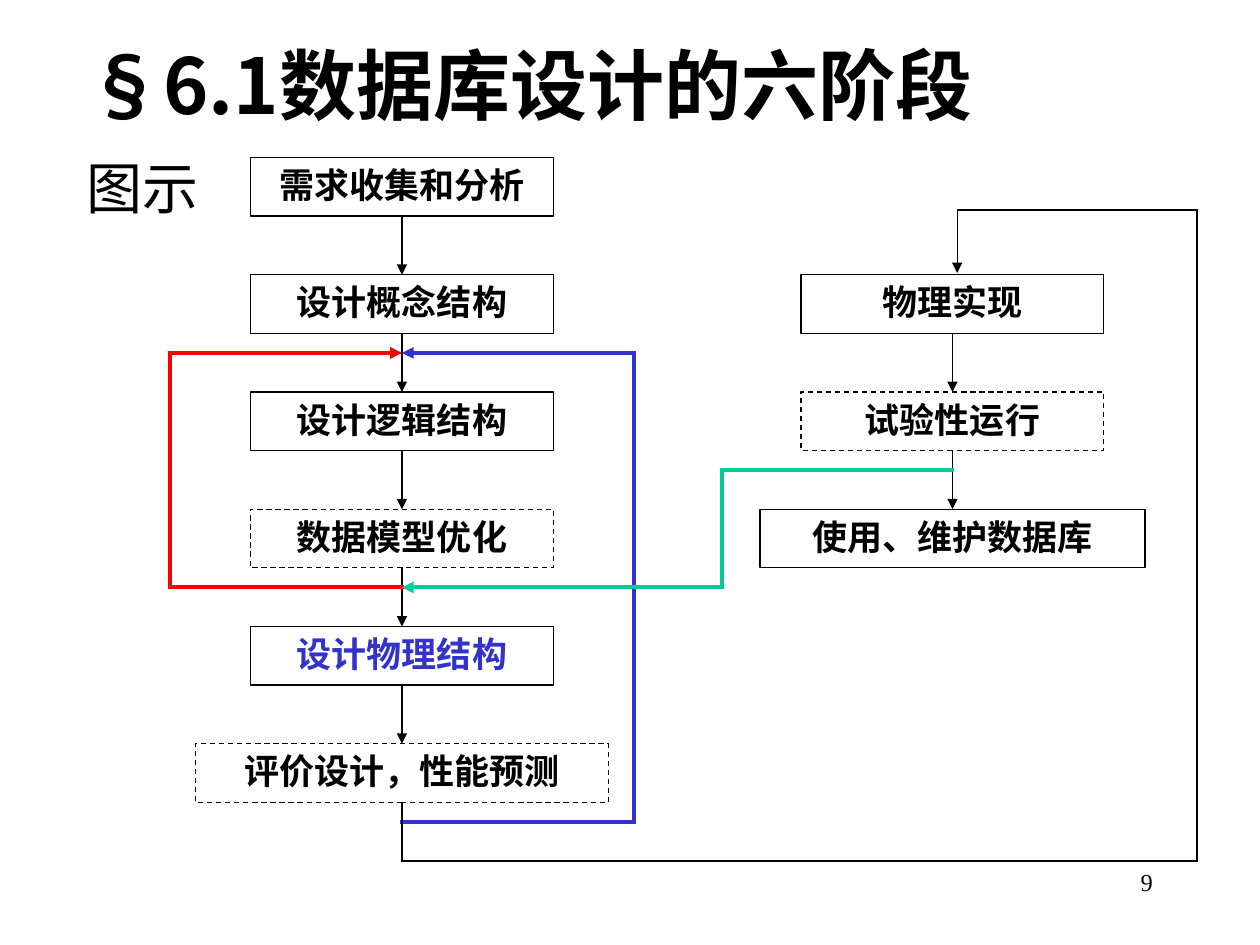
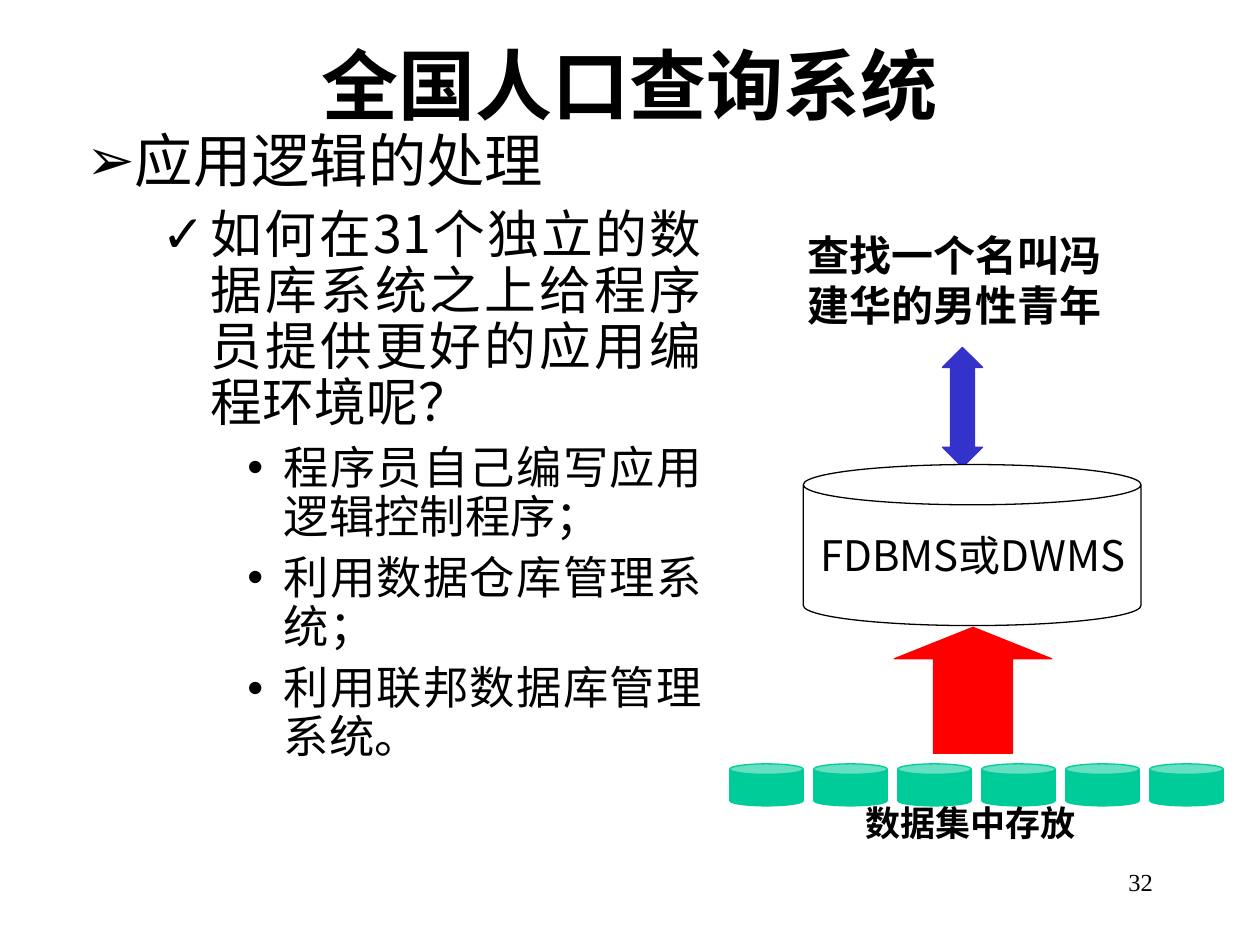
from itertools import pairwise

from lxml.etree import SubElement
from pptx import Presentation
from pptx.dml.color import RGBColor
from pptx.enum.dml import MSO_LINE
from pptx.enum.shapes import MSO_CONNECTOR, MSO_SHAPE
from pptx.enum.text import MSO_ANCHOR, MSO_AUTO_SIZE, PP_ALIGN
from pptx.oxml.ns import qn
from pptx.util import Pt

# Shared look
SANS, SERIF = "Noto Sans CJK SC", "Times New Roman"
BLACK, WHITE, RED, BLUE, GREEN = "000000", "FFFFFF", "FF0000", "3333CC", "00CC99"
TITLE_AREA = (42, 12, 636, 72)
NUMBER_AREA = (516, 492, 150, 36)
THIN, THICK = 0.75, 2.25

# Stages: (text, row, width, dashed, text colour)
DESIGN_STAGES = [
    ("需求收集和分析", 0, 173, False, BLACK),
    ("设计概念结构", 1, 173, False, BLACK),
    ("设计逻辑结构", 2, 173, False, BLACK),
    ("数据模型优化", 3, 173, True, BLACK),
    ("设计物理结构", 4, 173, False, BLUE),
    ("评价设计，性能预测", 5, 236, True, BLACK),
]
OPERATION_STAGES = [
    ("物理实现", 1, 173, False, BLACK),
    ("试验性运行", 2, 173, True, BLACK),
    ("使用、维护数据库", 3, 220, False, BLACK),
]
DESIGN_X, OPERATION_X = 229.7, 544.3
FIRST_ROW, ROW_PITCH, STAGE_HEIGHT = 90, 67, 33.5

# Outline levels: (bullet, size, left margin, hanging indent, space before)
LEVELS = [
    ("➢", 33.3, 27, 27, 0),
    ("✓", 29.6, 71.3, 28.1, 8),
    ("•", 25.9, 113, 20.9, 7),
]
OUTLINE = [
    (0, "应用逻辑的处理"),
    (1, "如何在31个独立的数据库系统之上给程序员提供更好的应用编程环境呢？"),
    (2, "程序员自己编写应用逻辑控制程序；"),
    (2, "利用数据仓库管理系统；"),
    (2, "利用联邦数据库管理系统。"),
]

# Stores of the population system
STORE_COUNT, STORE_LEFT, STORE_PITCH = 6, 417, 48


def rgb(value):
    return RGBColor.from_string(value)


def points(area):
    return [Pt(length) for length in area]


def write(para, text, size, font=SANS, color=BLACK, bold=False):
    span = para.add_run()
    span.text = text
    for name, value in {"size": Pt(size), "name": font, "bold": bold}.items():
        setattr(span.font, name, value)
    span.font.color.rgb = rgb(color)
    SubElement(span.font._element, qn("a:ea"), typeface=SANS)


def prepare(box, anchor=MSO_ANCHOR.TOP):
    frame = box.text_frame
    settings = {"word_wrap": True, "auto_size": MSO_AUTO_SIZE.NONE,
                "vertical_anchor": anchor}
    for name, value in settings.items():
        setattr(frame, name, value)
    return frame.paragraphs[0]


def place(box, area):
    box.left, box.top, box.width, box.height = points(area)


def add_label(page, text, area, size, align=PP_ALIGN.LEFT, **style):
    para = prepare(page.shapes.add_textbox(*points(area)))
    para.alignment = align
    write(para, text, size, **style)


def add_figure(page, kind, area, fill, line, adjustments=()):
    shape = page.shapes.add_shape(kind, *points(area))
    shape.shadow.inherit = False
    shape.fill.solid()
    shape.fill.fore_color.rgb = rgb(fill)
    shape.line.color.rgb = rgb(line)
    shape.line.width = Pt(THIN)
    for index, value in enumerate(adjustments):
        shape.adjustments[index] = value
    return shape


def add_route(page, stops, color=BLACK, width=THIN):
    """Join the stops by straight lines, with an arrowhead at the last stop."""
    for start, end in pairwise(stops):
        line = page.shapes.add_connector(
            MSO_CONNECTOR.STRAIGHT, *points(start + end))
        line.line.color.rgb = rgb(color)
        line.line.width = Pt(width)
        properties = line._element.spPr
        SubElement(properties, qn("a:effectLst"))
        outline = properties.find(qn("a:ln"))
        outline.set("cap", "sq")
        if end == stops[-1]:
            SubElement(outline, qn("a:tailEnd"), type="triangle")


def set_bullet(para, bullet, margin, hanging):
    properties = para._p.get_or_add_pPr()
    properties.set("marL", str(int(Pt(margin))))
    properties.set("indent", str(-int(Pt(hanging))))
    if bullet:
        color = SubElement(properties, qn("a:buClr"))
        SubElement(color, qn("a:srgbClr"), val=BLACK)
        SubElement(properties, qn("a:buChar"), char=bullet)
    else:
        SubElement(properties, qn("a:buNone"))


def add_page(deck, title, align, number, body_area):
    page = deck.slides.add_slide(deck.slide_layouts[1])
    heading, body = page.shapes.title, page.placeholders[1]
    place(heading, TITLE_AREA)
    para = prepare(heading, MSO_ANCHOR.MIDDLE)
    para.alignment = align
    write(para, title, 44, bold=True)
    place(body, body_area)
    prepare(body)
    add_label(page, number, NUMBER_AREA, 14, PP_ALIGN.RIGHT, font=SERIF)
    return page, body.text_frame


def row_top(row):
    return FIRST_ROW + row * ROW_PITCH


def row_bottom(row):
    return row_top(row) + STAGE_HEIGHT


def branch(row):
    """Height at which feedback lines meet the flow below a row."""
    return round(row_bottom(row) + (ROW_PITCH - STAGE_HEIGHT) / 3, 2)


def add_stages(page, stages, center):
    for text, row, width, dashed, color in stages:
        area = (center - width / 2, row_top(row), width, STAGE_HEIGHT)
        box = add_figure(page, MSO_SHAPE.RECTANGLE, area, WHITE, BLACK)
        if dashed:
            box.line.dash_style = MSO_LINE.DASH
        para = prepare(box)
        para.alignment = PP_ALIGN.CENTER
        write(para, text, 20, font=SERIF, color=color, bold=True)
    for upper, lower in pairwise(stages):
        add_route(page, [(center, row_bottom(upper[1])), (center, row_top(lower[1]))])


def build_stage_page(deck):
    page, body = add_page(deck, "§6.1数据库设计的六阶段", PP_ALIGN.LEFT, "9",
                          (42, 84, 636, 54))
    para = body.paragraphs[0]
    set_bullet(para, None, 0, 0)
    write(para, "图示", 32)
    add_stages(page, DESIGN_STAGES, DESIGN_X)
    add_stages(page, OPERATION_STAGES, OPERATION_X)

    # Feedback loops: (start x, start row, side x, end row, colour)
    loops = [
        (DESIGN_X, 3, 97.2, 1, RED),
        (DESIGN_X, 5, 362.4, 1, BLUE),
        (OPERATION_X, 2, 412.6, 3, GREEN),
    ]
    for start, first, side, last, color in loops:
        stops = [(start, branch(first)), (side, branch(first)),
                 (side, branch(last)), (DESIGN_X, branch(last))]
        add_route(page, stops, color, THICK)

    # Way from the design column to the operation column
    floor, ceiling, edge, entry = 492, 120, 684, 547
    add_route(page, [(DESIGN_X, row_bottom(5)), (DESIGN_X, floor), (edge, floor),
                     (edge, ceiling), (entry, ceiling), (entry, row_top(1) - 1)])


def build_population_page(deck):
    page, body = add_page(deck, "全国人口查询系统", PP_ALIGN.CENTER, "32",
                          (42, 72, 366, 426))
    for index, (level, text) in enumerate(OUTLINE):
        bullet, size, margin, hanging, before = LEVELS[level]
        para = body.add_paragraph() if index else body.paragraphs[0]
        set_bullet(para, bullet, margin, hanging)
        settings = {"level": level, "alignment": PP_ALIGN.JUSTIFY,
                    "line_spacing": 0.9, "space_before": Pt(before)}
        for name, value in settings.items():
            setattr(para, name, value)
        write(para, text, size)

    # Query, federated system and stores
    add_label(page, "查找一个名叫冯建华的男性青年", (454.3, 127.5, 186, 65), 24, bold=True)
    for index in range(STORE_COUNT):
        area = (STORE_LEFT + index * STORE_PITCH, 436.5, 42, 24)
        add_figure(page, MSO_SHAPE.CAN, area, GREEN, GREEN, [0.25])
    add_figure(page, MSO_SHAPE.UP_ARROW, (511, 358.5, 90, 72), RED, RED, [0.5, 0.25])
    add_label(page, "数据集中存放", (476.6, 454.5, 156, 31.5), 20, PP_ALIGN.CENTER, bold=True)
    add_figure(page, MSO_SHAPE.UP_DOWN_ARROW, (538.5, 198.5, 23, 68.5), BLUE, BLUE,
               [0.5, 0.6])
    add_figure(page, MSO_SHAPE.CAN, (459, 265.5, 193, 92), WHITE, BLACK, [0.25])
    add_label(page, "FDBMS或DWMS", (459.4, 298.8, 193, 36), 24, PP_ALIGN.CENTER)


def main():
    deck = Presentation()
    deck.slide_width, deck.slide_height = Pt(720), Pt(540)
    build_stage_page(deck)
    build_population_page(deck)
    deck.save("out.pptx")


if __name__ == "__main__":
    main()
